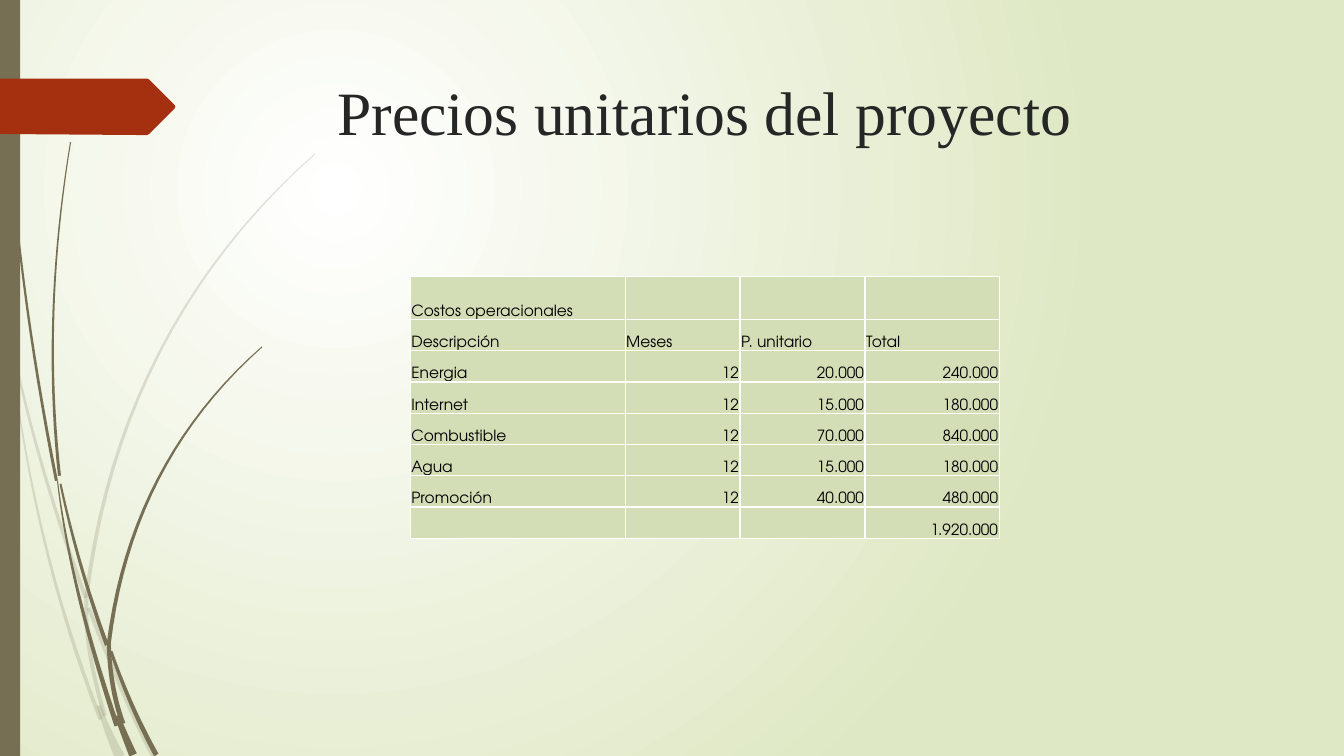
"""Build a slide with a table of the project's unit prices beside a grass ornament."""
from dataclasses import dataclass
from math import hypot

from lxml import etree
from pptx import Presentation
from pptx.dml.color import RGBColor
from pptx.enum.shapes import MSO_SHAPE
from pptx.enum.text import MSO_ANCHOR, PP_ALIGN
from pptx.oxml.ns import qn
from pptx.util import Inches, Pt

RECTANGLE = MSO_SHAPE.RECTANGLE
TOP, BOTTOM = MSO_ANCHOR.TOP, MSO_ANCHOR.BOTTOM
LEFT, CENTER, RIGHT = PP_ALIGN.LEFT, PP_ALIGN.CENTER, PP_ALIGN.RIGHT


@dataclass(frozen=True)
class Theme:
    glow: str = "FFFFFF"
    meadow: str = "DFE8C4"
    grass: str = "766F54"
    tag: str = "A53010"
    title: str = "262626"
    cell: str = "D4DEB6"
    border: str = "FFFFFF"
    ink: str = "000000"
    title_font: str = "Times New Roman"
    table_font: str = "TeX Gyre Adventor"
    title_size: int = 44
    table_size: int = 11
    border_width: int = 1


theme = Theme()


def paint(shape, color):
    shape.shadow.inherit = False
    shape.fill.solid()
    shape.fill.fore_color.rgb = RGBColor.from_string(color)
    shape.line.fill.background()
    return shape


def write(frame, text, *, font, size, color, align):
    para = frame.paragraphs[0]
    para.alignment = align
    span = para.add_run()
    span.text = text
    span.font.name, span.font.size = font, Pt(size)
    span.font.color.rgb = RGBColor.from_string(color)


deck = Presentation()
deck.slide_width, deck.slide_height = Inches(13.33), Inches(7.5)
page = deck.slides.add_slide(deck.slide_layouts[6])

backdrop = page.background.fill
backdrop.gradient()
for stop, color, position in zip(backdrop.gradient_stops, (theme.glow, theme.meadow), (0, 1)):
    stop.color.rgb = RGBColor.from_string(color)
    stop.position = position
gradient = page.element.find(".//" + qn("a:gradFill"))
gradient.remove(gradient.find(qn("a:lin")))
circle = etree.SubElement(gradient, qn("a:path"), path="circle")
etree.SubElement(circle, qn("a:fillToRect"), l="50000", t="50000", r="100000", b="100000")

pale_blades = [
    ((0, 2.9), (0.05, 3.2), (0.11, 3.5), 0.05, 0.01),
    ((0.14, 3.5), (0.43, 4.66), (0.85, 5.93), 0.02, 0.04),
    ((0.88, 6.03), (1.25, 6.93), (1.53, 7.51), 0.04, 0.05),
    ((0.11, 3.5), (0.45, 5.4), (1, 7.14), 0.01, 0.04),
    ((0.98, 7), (1.08, 7.27), (1.19, 7.51), 0.04, 0.1),
    ((3.12, 1.53), (1.59, 3.48), (0.86, 5.9), 0.01, 0.04),
    ((0.86, 5.9), (0.89, 6.46), (1.04, 7.1), 0.04, 0.04),
]
dark_blades = [
    ((0.03, 0), (0.18, 2.33), (0.56, 4.77), 0.01, 0.03),
    ((0.6, 4.8), (0.8, 5.6), (1.06, 6.4), 0.02, 0.04),
    ((1.1, 6.46), (1.31, 7), (1.55, 7.49), 0.03, 0.05),
    ((0.57, 4.77), (0.78, 5.9), (1.16, 7.2), 0.01, 0.05),
    ((0.7, 1.41), (0.53, 3.1), (0.59, 4.72), 0.01, 0.03),
    ((2.6, 3.44), (1.57, 4.75), (1.08, 6.38), 0.01, 0.04),
    ((1.08, 6.38), (1.12, 6.8), (1.22, 7.18), 0.04, 0.05),
    ((1.16, 7.1), (1.24, 7.3), (1.32, 7.49), 0.05, 0.08),
]
steps = 20
for blades, opacity in ((pale_blades, 20), (dark_blades, 100)):
    for start, middle, end, tip_width, base_width in blades:
        bend = [2 * m - (a + b) / 2 for a, m, b in zip(start, middle, end)]
        left_edge, right_edge = [], []
        for step in range(steps + 1):
            t = step / steps
            x, y = [(1 - t) ** 2 * a + 2 * t * (1 - t) * m + t * t * b
                    for a, m, b in zip(start, bend, end)]
            dx, dy = [(1 - t) * (m - a) + t * (b - m) for a, m, b in zip(start, bend, end)]
            half = (tip_width + t * (base_width - tip_width)) / 2 / hypot(dx, dy)
            left_edge.append((Inches(x - dy * half), Inches(y + dx * half)))
            right_edge.append((Inches(x + dy * half), Inches(y - dx * half)))
        builder = page.shapes.build_freeform(*left_edge[0])
        builder.add_line_segments(left_edge[1:] + right_edge[::-1])
        leaf = paint(builder.convert_to_shape(), theme.grass)
        if opacity < 100:
            tint = leaf.element.spPr.find(qn("a:solidFill"))[0]
            etree.SubElement(tint, qn("a:alpha"), val=str(opacity * 1000))

paint(page.shapes.add_shape(RECTANGLE, 0, 0, Inches(0.2), Inches(7.5)), theme.grass)
tag_points = [(Inches(x), Inches(y)) for x, y in (
    (0, 0.78), (1.46, 0.78), (1.48, 0.79), (1.73, 1.04), (1.74, 1.06),
    (1.73, 1.08), (1.48, 1.33), (1.46, 1.34), (1.36, 1.34), (0, 1.33))]
builder = page.shapes.build_freeform(*tag_points[0])
builder.add_line_segments(tag_points[1:])
paint(builder.convert_to_shape(), theme.tag)

box = page.shapes.add_textbox(Inches(1.4), Inches(0.68), Inches(11.18), Inches(1.4))
box.text_frame.word_wrap = True
box.text_frame.vertical_anchor = TOP
write(box.text_frame, "Precios unitarios del proyecto", font=theme.title_font,
      size=theme.title_size, color=theme.title, align=CENTER)

rows = [
    ("Costos operacionales", "", "", ""),
    ("Descripción", "Meses", "P. unitario", "Total"),
    ("Energia", "12", "20.000", "240.000"),
    ("Internet", "12", "15.000", "180.000"),
    ("Combustible", "12", "70.000", "840.000"),
    ("Agua", "12", "15.000", "180.000"),
    ("Promoción", "12", "40.000", "480.000"),
    ("", "", "", "1.920.000"),
]
costs = page.shapes.add_table(len(rows), 4, Inches(4.07), Inches(2.74), Inches(5.84), Inches(2.61)).table
costs.first_row = costs.horz_banding = False
for column, width in zip(costs.columns, (2.13, 1.14, 1.24, 1.33)):
    column.width = Inches(width)
for r, values in enumerate(rows):
    costs.rows[r].height = Inches(0.31 if r else 0.43)
    for c, value in enumerate(values):
        cell = costs.cell(r, c)
        cell.margin_left = cell.margin_right = cell.margin_top = Inches(0.01)
        cell.margin_bottom = 0
        cell.vertical_anchor = BOTTOM
        for side in ("lnL", "lnR", "lnT", "lnB"):
            edge = etree.SubElement(cell._tc.get_or_add_tcPr(), qn("a:" + side), w=str(Pt(theme.border_width)))
            etree.SubElement(etree.SubElement(edge, qn("a:solidFill")), qn("a:srgbClr"), val=theme.border)
        cell.fill.solid()
        cell.fill.fore_color.rgb = RGBColor.from_string(theme.cell)
        if value:
            write(cell.text_frame, value, font=theme.table_font, size=theme.table_size,
                  color=theme.ink, align=RIGHT if r > 1 and c else LEFT)

deck.save("out.pptx")
